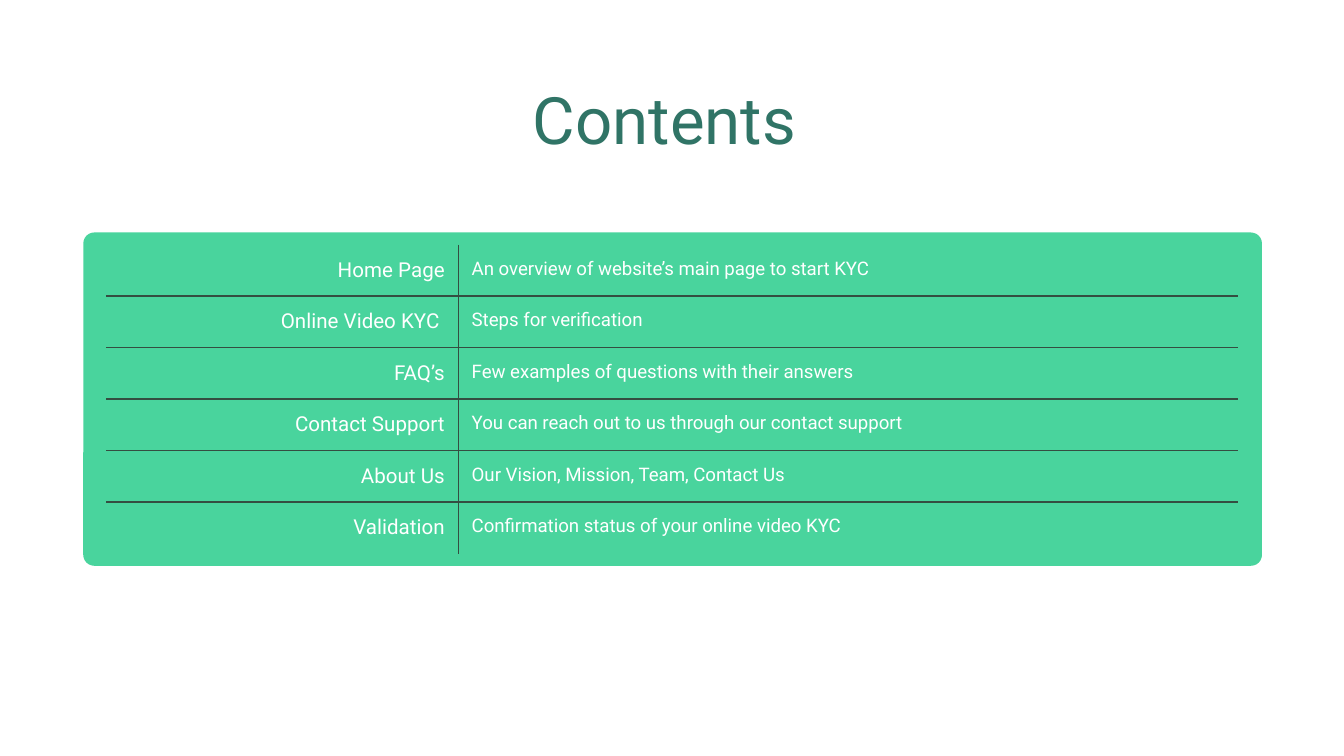
from typing import NamedTuple

from lxml.etree import SubElement
from pptx import Presentation
from pptx.dml.color import RGBColor
from pptx.enum.shapes import MSO_SHAPE
from pptx.enum.text import MSO_ANCHOR, PP_ALIGN
from pptx.oxml.ns import qn
from pptx.util import Inches, Pt

FONT = "Roboto"
GREEN = "49D49D"
TITLE_GREEN = "307466"
RULE = "344E41"
WHITE = "FFFFFF"
INSET = Inches(0.1)


class Entry(NamedTuple):
    name: str
    description: str


ENTRIES = [
    Entry("Home Page", "An overview of website’s main page to start KYC"),
    Entry("Online Video KYC ", "Steps for verification"),
    Entry("FAQ’s", "Few examples of questions with their answers"),
    Entry("Contact Support", "You can reach out to us through our contact support"),
    Entry("About Us", "Our Vision, Mission, Team, Contact Us"),
    Entry("Validation", "Confirmation status of your online video KYC"),
]


def color(value: str) -> RGBColor:
    return RGBColor.from_string(value)


def write_text(text_frame, text: str, *, size: float, fill: str = WHITE,
               align=PP_ALIGN.LEFT, space_after: float = 0) -> None:
    paragraph = text_frame.paragraphs[0]
    paragraph.alignment = align
    paragraph.space_after = Pt(space_after)
    run = paragraph.add_run()
    run.text = text
    run.font.name = FONT
    run.font.size = Pt(size)
    run.font.color.rgb = color(fill)


def set_insets(target) -> None:
    target.margin_left = target.margin_right = INSET
    target.margin_top = target.margin_bottom = INSET


def set_borders(cell, visible: set[str]) -> None:
    """Rule the visible sides and clear the others; borders precede the fill."""
    properties = cell._tc.get_or_add_tcPr()
    for position, side in enumerate(("L", "R", "T", "B")):
        line = SubElement(properties, qn(f"a:ln{side}"), w=str(Pt(0.75)))
        if side in visible:
            fill = SubElement(line, qn("a:solidFill"))
            SubElement(fill, qn("a:srgbClr"), val=RULE)
        else:
            SubElement(line, qn("a:noFill"))
        properties.insert(position, line)


def add_panel(slide) -> None:
    panel = slide.shapes.add_shape(MSO_SHAPE.ROUNDED_RECTANGLE, Inches(0.62),
                                   Inches(1.73), Inches(8.77), Inches(2.48))
    panel.adjustments[0] = 0.033
    panel.shadow.inherit = False
    panel.fill.solid()
    panel.fill.fore_color.rgb = color(GREEN)
    panel.line.fill.background()
    # Send the panel behind the title
    slide.shapes.title.element.addprevious(panel.element)


def format_title(slide) -> None:
    title = slide.shapes.title
    title.left, title.top = Inches(0.79), Inches(0.49)
    title.width, title.height = Inches(8.43), Inches(0.63)
    text_frame = title.text_frame
    text_frame.vertical_anchor = MSO_ANCHOR.TOP
    text_frame.word_wrap = True
    set_insets(text_frame)
    write_text(text_frame, "Contents ", size=35, fill=TITLE_GREEN,
               align=PP_ALIGN.CENTER)


def add_contents_table(slide, entries: list[Entry]) -> None:
    table = slide.shapes.add_table(len(entries), 2, Inches(0.79), Inches(1.82),
                                   Inches(8.42), Inches(2.3)).table
    table.first_row = table.horz_banding = False
    table.columns[0].width = Inches(2.62)
    table.columns[1].width = Inches(5.8)

    for row, entry in enumerate(entries):
        # Only inner rules show
        horizontal = set()
        if row > 0:
            horizontal.add("T")
        if row < len(entries) - 1:
            horizontal.add("B")
        name_cell, description_cell = table.cell(row, 0), table.cell(row, 1)
        for cell, inner_side in ((name_cell, "R"), (description_cell, "L")):
            set_insets(cell)
            cell.fill.solid()
            cell.fill.fore_color.rgb = color(GREEN)
            set_borders(cell, horizontal | {inner_side})
        write_text(name_cell.text_frame, entry.name, size=11, align=PP_ALIGN.RIGHT)
        write_text(description_cell.text_frame, entry.description, size=10,
                   space_after=16)


def main() -> None:
    presentation = Presentation()
    # Widescreen, 16:9
    presentation.slide_width = Inches(10)
    presentation.slide_height = Inches(10 * 9 / 16)
    slide = presentation.slides.add_slide(presentation.slide_layouts[5])

    # Background panel, heading, then the contents list
    add_panel(slide)
    format_title(slide)
    add_contents_table(slide, ENTRIES)
    presentation.save("out.pptx")


if __name__ == "__main__":
    main()
